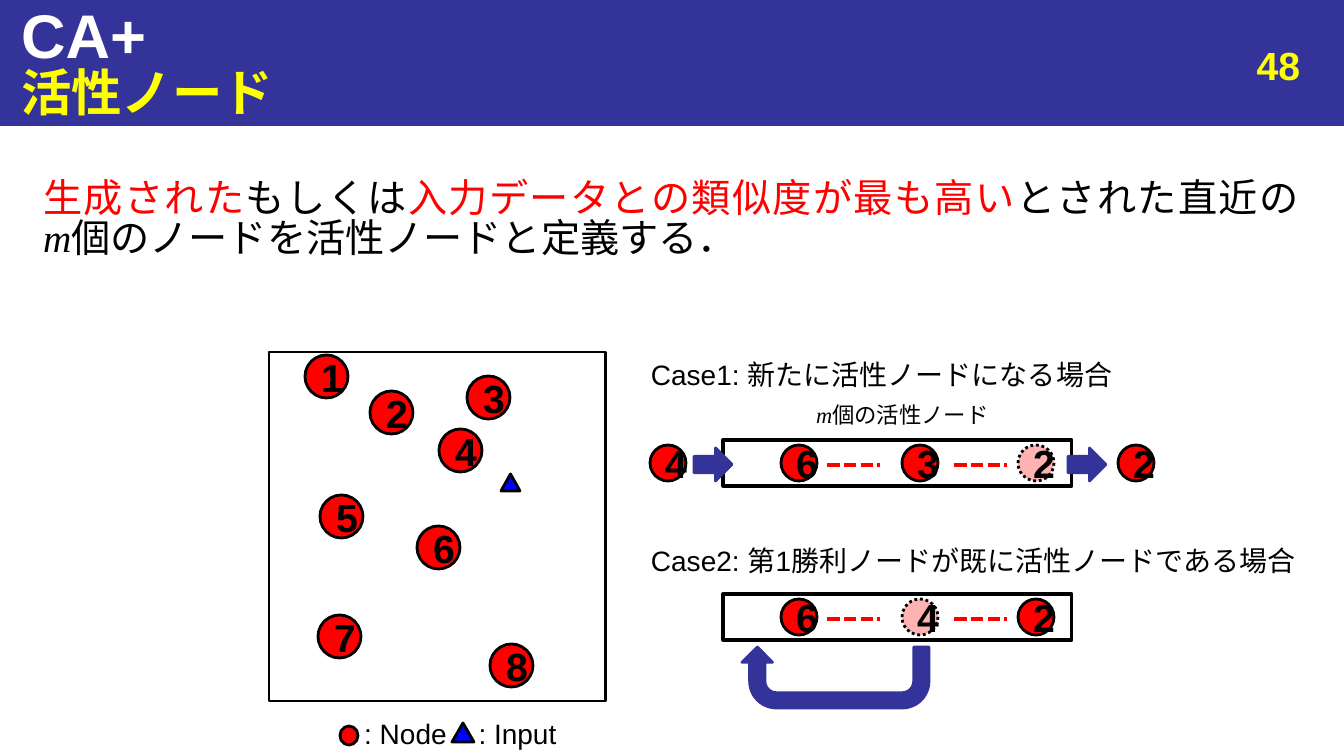
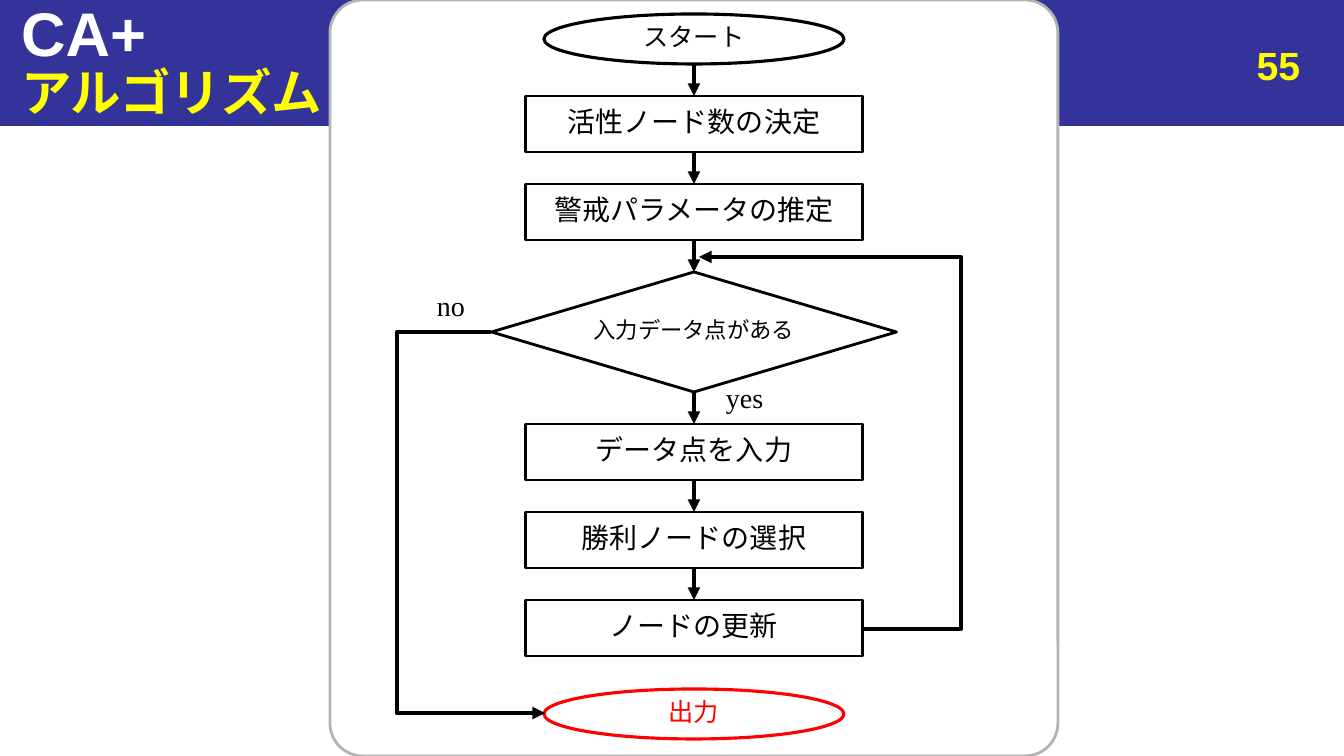
from dataclasses import dataclass
from itertools import pairwise

from lxml.etree import SubElement
from pptx import Presentation
from pptx.dml.color import RGBColor
from pptx.enum.dml import MSO_LINE_DASH_STYLE as Dash
from pptx.enum.shapes import MSO_CONNECTOR as Link, MSO_SHAPE as Geo
from pptx.enum.text import MSO_ANCHOR as Anchor, MSO_AUTO_SIZE as AutoSize, PP_ALIGN as Align
from pptx.oxml.ns import qn
from pptx.util import Pt

PX = 914400 / 100.8


@dataclass(frozen=True)
class Theme:
    navy: str = "333399"
    white: str = "FFFFFF"
    yellow: str = "FFFF00"
    black: str = "000000"
    red: str = "FF0000"
    blue: str = "0000FF"
    grey: str = "B3B3B3"
    sans: str = "Arial"
    serif: str = "Times New Roman"
    japanese: str = "Noto Sans CJK JP"
    title: int = 44
    subtitle: int = 36
    body: int = 28
    label: int = 20
    terminal: int = 18
    small: int = 16
    leading: float = 0.86


THEME = Theme()


@dataclass(frozen=True)
class Run:
    text: str
    size: int = THEME.label
    color: str = THEME.black
    font: str = THEME.sans
    bold: bool = False
    italic: bool = False


def px(*lengths):
    return [round(length * PX) for length in lengths]


class Deck:
    """Holds the presentation, its style and the slide being drawn."""

    def __init__(self):
        self.prs = Presentation()
        self.prs.slide_width, self.prs.slide_height = px(1344, 756)
        self.slide = None

    def start(self, layout, heading, number, title_top=0):
        self.slide = self.prs.slides.add_slide(self.prs.slide_layouts[layout])
        band = self.shape(Geo.RECTANGLE, (0, 0, 1344, 126), THEME.navy, THEME.navy, 0.75)
        self.slide.shapes._spTree.insert(2, band._element)
        self.placeholder(0, (11, title_top, 1333, 68),
                         [Run("CA+", THEME.title, THEME.white, bold=True)])
        self.placeholder(1, (11, 68, 1333, 55),
                         [Run(heading, THEME.subtitle, THEME.yellow, bold=True)])
        self.text((997, 36, 313, 52),
                  [Run(number, THEME.body, THEME.yellow, bold=True)], Align.RIGHT)

    def fill_frame(self, frame, runs, align, anchor, wrap=True):
        frame.auto_size = AutoSize.NONE
        frame.word_wrap = wrap
        frame.vertical_anchor = anchor
        line = frame.paragraphs[0]
        line.alignment = align
        line.space_before = Pt(0)
        if any(ord(letter) > 0x2FFF for part in runs for letter in part.text):
            line.line_spacing = THEME.leading
        for part in runs:
            if part.text == "\n":
                line.add_line_break()
                continue
            run = line.add_run()
            run.text = part.text
            font = run.font
            font.size, font.name = Pt(part.size), part.font
            font.bold, font.italic = part.bold, part.italic
            font.color.rgb = RGBColor.from_string(part.color)
            SubElement(font._element, qn("a:ea"), typeface=THEME.japanese)
        return line

    def placeholder(self, idx, box, runs, align=Align.LEFT, anchor=Anchor.MIDDLE):
        holder = self.slide.placeholders[idx]
        holder.left, holder.top, holder.width, holder.height = px(*box)
        line = self.fill_frame(holder.text_frame, runs, align, anchor)
        props = line._p.get_or_add_pPr()
        props.set("marL", "0")
        props.set("indent", "0")
        SubElement(props, qn("a:buNone"))

    def text(self, box, runs, align=Align.LEFT, wrap=True):
        holder = self.slide.shapes.add_textbox(*px(*box))
        self.fill_frame(holder.text_frame, runs, align, Anchor.TOP, wrap)

    def shape(self, geometry, box, fill, line=THEME.black, weight=2.0):
        form = self.slide.shapes.add_shape(geometry, *px(*box))
        form.shadow.inherit = False
        if fill:
            form.fill.solid()
            form.fill.fore_color.rgb = RGBColor.from_string(fill)
        else:
            form.fill.background()
        form.line.color.rgb = RGBColor.from_string(line)
        form.line.width = Pt(weight)
        return form

    def node(self, left, top, size, number, fading=False):
        circle = self.shape(Geo.OVAL, (left, top, size, size), THEME.red)
        if fading:
            circle.line.dash_style = Dash.ROUND_DOT
            tint = circle._element.spPr.find(f"{qn('a:solidFill')}/{qn('a:srgbClr')}")
            SubElement(tint, qn("a:alpha"), val="30000")
        self.fill_frame(circle.text_frame, [Run(str(number), THEME.body, bold=True)],
                        Align.CENTER, Anchor.MIDDLE)

    def step(self, geometry, box, label, size, color=THEME.black, weight=2.0):
        form = self.shape(geometry, box, THEME.white, color, weight)
        self.fill_frame(form.text_frame, [Run(label, size, color)],
                        Align.CENTER, Anchor.MIDDLE, wrap=False)

    def line(self, start, end, color=THEME.black, dash=None, arrow=True, via=None):
        kind = Link.STRAIGHT if via is None else Link.ELBOW
        link = self.slide.shapes.add_connector(kind, *px(*start, *end))
        link.line.color.rgb = RGBColor.from_string(color)
        link.line.width = Pt(3)
        if dash:
            link.line.dash_style = dash
        props = link._element.spPr
        if arrow:
            SubElement(props.find(qn("a:ln")), qn("a:tailEnd"), type="triangle")
        SubElement(props, qn("a:effectLst"))
        if via is not None:
            bend = round((via - start[0]) / (end[0] - start[0]) * 100000)
            guides = props.find(f"{qn('a:prstGeom')}/{qn('a:avLst')}")
            SubElement(guides, qn("a:gd"), name="adj1", fmla=f"val {bend}")

    def queue(self, top, members):
        self.shape(Geo.RECTANGLE, (723, top, 349, 46), THEME.white, weight=2.25)
        for left in (827, 954):
            self.line((left, top + 25), (left + 53, top + 25), THEME.red,
                      Dash.SQUARE_DOT, arrow=False)
        for left, (number, fading) in zip((781, 902, 1018), members):
            self.node(left, top + 5, 36, number, fading)


def active_nodes(deck):
    deck.start(3, "活性ノード", "48")
    size = THEME.body
    deck.placeholder(2, (33, 175, 1277, 572), [
        Run("生成された", size, THEME.red),
        Run("もしくは", size),
        Run("入力データとの類似度が最も高い", size, THEME.red),
        Run("とされた直近の", size),
        Run("\n"),
        Run("m", size, font=THEME.serif, italic=True),
        Run("個のノードを活性ノードと定義する．", size),
    ], Align.JUSTIFY, Anchor.TOP)

    deck.shape(Geo.RECTANGLE, (269, 352, 337, 349), None)
    spots = [(305, 355), (370, 391), (467, 376), (439, 429),
             (320, 495), (417, 526), (318, 615), (490, 644)]
    for number, (left, top) in enumerate(spots, 1):
        deck.node(left, top, 43, number)
    deck.shape(Geo.ISOSCELES_TRIANGLE, (501, 474, 19, 17), THEME.blue)

    deck.shape(Geo.OVAL, (340, 726, 18, 19), THEME.red)
    deck.text((354, 712, 103, 44), [Run(": Node")], Align.CENTER)
    deck.shape(Geo.ISOSCELES_TRIANGLE, (452, 723, 22, 19), THEME.blue)
    deck.text((463, 712, 109, 44), [Run(": Input")], Align.CENTER)

    deck.text((641, 357, 497, 44), [Run("Case1: 新たに活性ノードになる場合")], wrap=False)
    deck.text((758, 400, 289, 37), [
        Run("m", THEME.small, font=THEME.serif, italic=True),
        Run("個の活性ノード", THEME.small),
    ], Align.CENTER)
    deck.queue(440, [(6, False), (3, False), (2, True)])
    for left in (694, 1068):
        deck.shape(Geo.RIGHT_ARROW, (left, 448, 38, 33), THEME.navy, THEME.navy)
    for left, number in ((650, 4), (1118, 2)):
        deck.node(left, 445, 36, number)

    deck.text((641, 543, 690, 44),
              [Run("Case2: 第1勝利ノードが既に活性ノードである場合")], wrap=False)
    deck.queue(594, [(6, False), (4, True), (2, False)])
    back = deck.shape(Geo.U_TURN_ARROW, (742, 647, 187, 61), THEME.navy, THEME.navy)
    back.rotation = 180
    for place, ratio in enumerate((0.25, 0.25, 0.25, 0.44, 1)):
        back.adjustments[place] = ratio


def algorithm(deck):
    deck.start(1, "アルゴリズム", "55", title_top=-2)
    panel = deck.shape(Geo.ROUNDED_RECTANGLE, (330, 0, 728, 756), THEME.white, THEME.grey)
    panel.adjustments[0] = 0.045

    axis = 694
    process = (Geo.RECTANGLE, 337, 56, THEME.label, THEME.black, 2)
    terminal = (Geo.OVAL, 300, 50, THEME.terminal, THEME.black, 2.25)
    result = (Geo.OVAL, 300, 50, THEME.terminal, THEME.red, 2.25)
    decision = (Geo.FLOWCHART_DECISION, 405, 120, THEME.small, THEME.black, 2)
    flow = [
        (14, "スタート", terminal),
        (96, "活性ノード数の決定", process),
        (184, "警戒パラメータの推定", process),
        (272, "入力データ点がある", decision),
        (424, "データ点を入力", process),
        (512, "勝利ノードの選択", process),
        (600, "ノードの更新", process),
        (689, "出力", result),
    ]
    for top, label, (geometry, width, height, size, color, weight) in flow:
        deck.step(geometry, (axis - width / 2, top, width, height), label, size, color, weight)
    for (top, _, style), (following, _, _) in pairwise(flow[:-1]):
        deck.line((axis, top + style[2]), (axis, following))

    deck.line((863, 629), (699, 257), via=961)
    deck.line((491, 332), (545, 713), via=397)
    deck.text((716, 376, 130, 61), [Run("yes", font=THEME.serif)])
    deck.text((427, 284, 77, 61), [Run("no", font=THEME.serif)])


def main():
    deck = Deck()
    active_nodes(deck)
    algorithm(deck)
    deck.prs.save("out.pptx")


if __name__ == "__main__":
    main()
